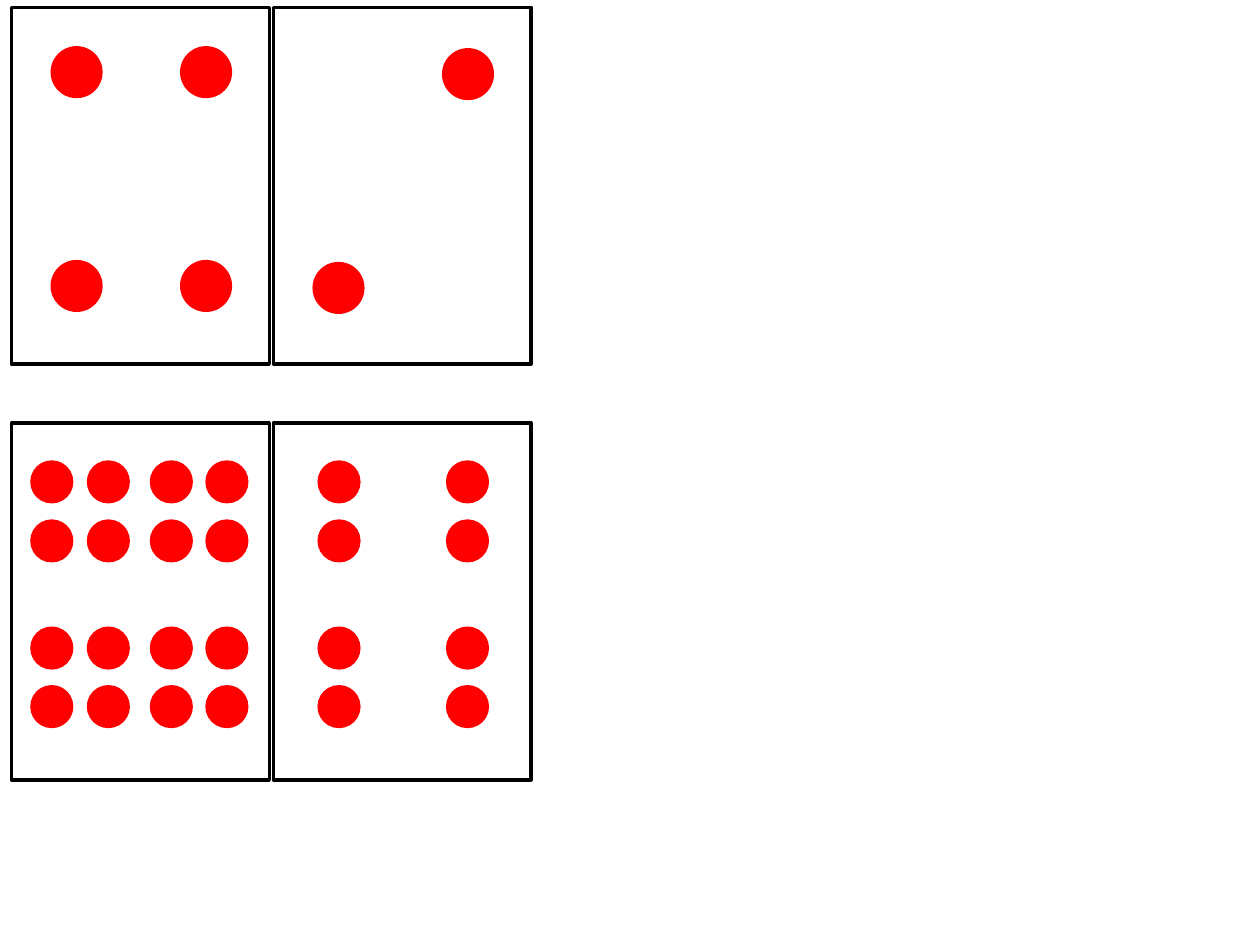
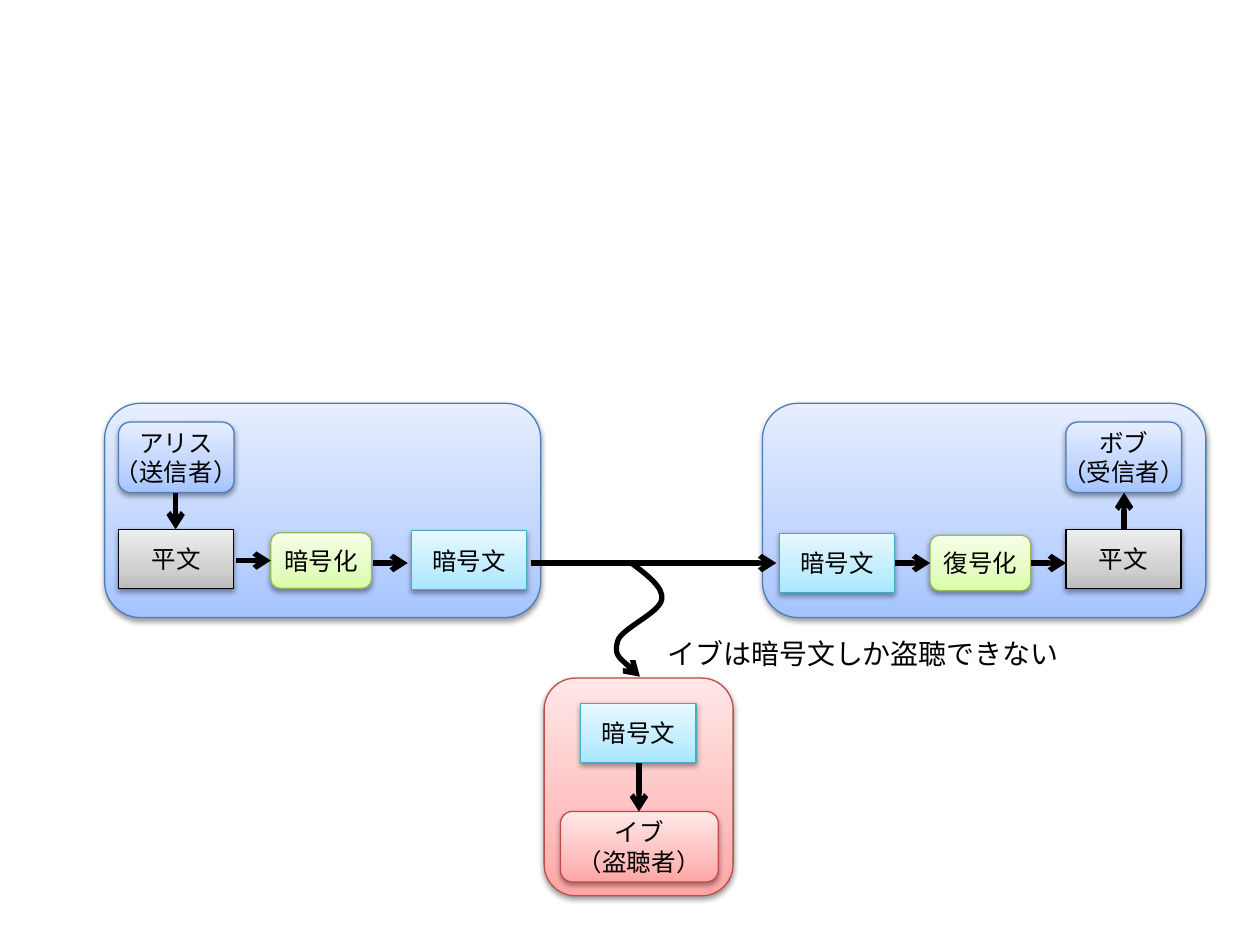
"""Build two slides: dot cards and an encrypted message flow."""
from copy import deepcopy
from dataclasses import dataclass
from itertools import product

from lxml.etree import SubElement
from pptx import Presentation
from pptx.dml.color import RGBColor
from pptx.enum.shapes import MSO_CONNECTOR, MSO_SHAPE
from pptx.enum.text import MSO_ANCHOR, PP_ALIGN
from pptx.oxml.ns import qn
from pptx.util import Cm, Pt


@dataclass(frozen=True)
class Style:
    """Gradient colours from bottom to top, with an outline colour."""
    bottom: str
    middle: str
    top: str
    outline: str


@dataclass(frozen=True)
class Theme:
    """Colours and type sizes shared by the slides."""
    font: str = "Noto Sans CJK JP"
    label_size: int = 14
    note_size: int = 16
    black: str = "000000"
    white: str = "FFFFFF"
    dot: str = "FF0000"
    blue: Style = Style("A4C4FF", "BFD4FF", "E6EEFF", "4B7EBC")
    gray: Style = Style("BDBDBD", "D1D1D1", "EEEEEE", "000000")
    green: Style = Style("DAFDA7", "E4FCC2", "F5FFE7", "98B955")
    cyan: Style = Style("A7E6FF", "C1EDFF", "E7F8FF", "46AAC5")
    red: Style = Style("FFA6A5", "FFC0BF", "FFE7E7", "BF4C48")


THEME = Theme()
ROUNDED = MSO_SHAPE.FLOWCHART_ALTERNATE_PROCESS
RECTANGLE = MSO_SHAPE.RECTANGLE
PERSON_SIZE = (2.33, 1.42)
MESSAGE_SIZE = (2.32, 1.19)
ACTION_SIZE = (2.03, 1.12)


def rgb(value):
    """Return a colour from its hexadecimal text."""
    return RGBColor.from_string(value)


def add_plain_shape(shapes, kind, left, top, width, height, color):
    """Add a solid shape without shadow or outline."""
    shape = shapes.add_shape(kind, Cm(left), Cm(top), Cm(width), Cm(height))
    shape.shadow.inherit = False
    shape.fill.solid()
    shape.fill.fore_color.rgb = rgb(color)
    shape.line.fill.background()
    return shape


def add_card(shapes, left, top, columns, rows, dot_size):
    """Add a card with a dot at each crossing of columns and rows."""
    add_card_dots(shapes, left, top, product(columns, rows), dot_size)


def add_card_dots(shapes, left, top, positions, dot_size):
    """Add a card with dots at positions measured from its corner."""
    card = add_plain_shape(shapes, MSO_SHAPE.ROUNDED_RECTANGLE,
                           left, top, 5.2, 7.19, THEME.white)
    card.adjustments[0] = 0
    card.line.color.rgb = rgb(THEME.black)
    card.line.width = Pt(2)
    for column, row in positions:
        add_plain_shape(shapes, MSO_SHAPE.OVAL, left + column, top + row,
                        dot_size, dot_size, THEME.dot)


def write_lines(frame, lines, size, alignment):
    """Write one paragraph for each line of text."""
    for index, line in enumerate(lines):
        paragraph = frame.add_paragraph() if index else frame.paragraphs[0]
        paragraph.alignment = alignment
        run = paragraph.add_run()
        run.text = line
        run.font.size = Pt(size)
        run.font.color.rgb = rgb(THEME.black)
        run.font.name = THEME.font
        properties = run.font._element
        SubElement(properties, qn("a:ea"), typeface=THEME.font)


def fill_gradient(shape, style):
    """Fill a shape with three colours rising from its bottom edge."""
    shape.fill.gradient()
    shape.fill.gradient_angle = 90
    stop_list = shape._element.spPr.find(".//" + qn("a:gsLst"))
    stop_list.append(deepcopy(stop_list[-1]))
    colors = (style.bottom, style.middle, style.top)
    stops = shape.fill.gradient_stops
    for stop, position, color in zip(stops, (0, 0.35, 1), colors):
        stop.position = position
        stop.color.rgb = rgb(color)


def add_shadow(shape):
    """Give a shape a soft shadow below it."""
    shape.shadow.inherit = False
    effects = shape._element.spPr.find(qn("a:effectLst"))
    shadow = SubElement(effects, qn("a:outerShdw"), blurRad="40000",
                        dist="20000", dir="5400000", rotWithShape="0")
    color = SubElement(shadow, qn("a:srgbClr"), val=THEME.black)
    SubElement(color, qn("a:alpha"), val="38000")


def add_box(shapes, kind, style, position, size, *lines, wrap=False):
    """Add a gradient box with centred lines of text."""
    shape = shapes.add_shape(kind, *map(Cm, position + size))
    fill_gradient(shape, style)
    shape.line.color.rgb = rgb(style.outline)
    shape.line.width = Pt(0.75)
    add_shadow(shape)
    frame = shape.text_frame
    frame.word_wrap = wrap
    frame.vertical_anchor = MSO_ANCHOR.MIDDLE
    write_lines(frame, lines, THEME.label_size, PP_ALIGN.CENTER)


def add_message(shapes, style, left, top, text):
    """Add a box for a plain or encrypted message."""
    add_box(shapes, RECTANGLE, style, (left, top), MESSAGE_SIZE, text)


def style_arrow(shape):
    """Make a line thick and black with an arrowhead at its end."""
    shape.line.color.rgb = rgb(THEME.black)
    shape.line.width = Pt(3)
    properties = shape._element.spPr
    SubElement(properties.find(qn("a:ln")), qn("a:tailEnd"), type="arrow")


def add_arrow(shapes, start, end):
    """Add a straight arrow."""
    arrow = shapes.add_connector(MSO_CONNECTOR.STRAIGHT, *map(Cm, start + end))
    style_arrow(arrow)
    SubElement(arrow._element.spPr, qn("a:effectLst"))


def add_curved_arrow(shapes, start, points):
    """Add an arrow along cubic curves, three points to a curve."""
    builder = shapes.build_freeform(Cm(start[0]), Cm(start[1]))
    builder.add_line_segments([(Cm(x), Cm(y)) for x, y in points], close=False)
    arrow = builder.convert_to_shape()
    arrow.shadow.inherit = False
    arrow.fill.background()
    style_arrow(arrow)
    segments = list(arrow._element.iter(qn("a:lnTo")))
    outline = segments[0].getparent()
    for first in range(0, len(segments), 3):
        curve = SubElement(outline, qn("a:cubicBezTo"))
        for segment in segments[first:first + 3]:
            curve.append(segment[0])
            outline.remove(segment)


def add_note(shapes, left, top, width, height, text):
    """Add a line of free text."""
    box = shapes.add_textbox(Cm(left), Cm(top), Cm(width), Cm(height))
    box.text_frame.word_wrap = False
    write_lines(box.text_frame, [text], THEME.note_size, PP_ALIGN.LEFT)


def build_dot_cards(shapes):
    """Draw two pairs of cards with large and small dots."""
    left, right, upper, lower = 0.23, 5.51, 0.15, 8.53
    rows = (0.75, 1.94, 4.1, 5.28)
    add_card(shapes, left, upper, (0.79, 3.4), (0.78, 5.09), 1.05)
    add_card_dots(shapes, right, upper, ((3.4, 0.82), (0.79, 5.13)), 1.05)
    add_card(shapes, right, lower, (0.89, 3.48), rows, 0.87)
    add_card(shapes, left, lower, (0.38, 1.52, 2.79, 3.91), rows, 0.87)


def add_receiver(shapes):
    """Add the receiver's panel."""
    add_box(shapes, ROUNDED, THEME.blue, (15.37, 8.13), (8.94, 4.32))
    add_box(shapes, ROUNDED, THEME.blue, (21.49, 8.51), PERSON_SIZE,
            "ボブ", "（受信者）")
    add_message(shapes, THEME.gray, 21.49, 10.67, "平文")
    add_arrow(shapes, (22.66, 10.67), (22.66, 9.93))


def add_sender(shapes):
    """Add the sender's panel with the encryption steps."""
    add_box(shapes, ROUNDED, THEME.blue, (2.11, 8.13), (8.79, 4.32))
    add_box(shapes, ROUNDED, THEME.blue, (2.39, 8.51), PERSON_SIZE,
            "アリス", "（送信者）")
    add_message(shapes, THEME.gray, 2.39, 10.67, "平文")
    add_arrow(shapes, (3.54, 9.93), (3.54, 10.67))
    add_box(shapes, ROUNDED, THEME.green, (5.46, 10.74), ACTION_SIZE, "暗号化")
    add_message(shapes, THEME.cyan, 8.3, 10.7, "暗号文")
    add_arrow(shapes, (4.76, 11.3), (5.46, 11.3))
    add_arrow(shapes, (7.52, 11.35), (8.22, 11.35))


def add_transmission(shapes):
    """Add the channel and the decryption steps."""
    add_box(shapes, ROUNDED, THEME.green, (18.75, 10.79), ACTION_SIZE, "復号化")
    add_message(shapes, THEME.cyan, 15.72, 10.75, "暗号文")
    for start, end in ((18.04, 18.75), (20.79, 21.49), (10.7, 15.65)):
        add_arrow(shapes, (start, 11.35), (end, 11.35))


def add_eavesdropper(shapes):
    """Add the eavesdropper's panel, its feed and its note."""
    add_curved_arrow(shapes, (12.7, 11.33), (
        (13.03, 11.58), (13.39, 11.84), (13.34, 12.09),
        (13.28, 12.37), (12.52, 12.67), (12.45, 12.93),
        (12.37, 13.21), (12.65, 13.41), (12.9, 13.64)))
    add_box(shapes, ROUNDED, THEME.red, (10.97, 13.67), (3.81, 4.39))
    add_box(shapes, ROUNDED, THEME.red, (11.3, 16.36), (3.18, 1.42),
            "イブ", "（盗聴者）", wrap=True)
    add_arrow(shapes, (12.88, 15.37), (12.88, 16.36))
    add_note(shapes, 13.21, 12.7, 8.48, 0.94, "イブは暗号文しか盗聴できない")
    add_message(shapes, THEME.cyan, 11.71, 14.18, "暗号文")


def build_message_flow(shapes):
    """Draw the message flow between the three people."""
    add_receiver(shapes.add_group_shape().shapes)
    add_sender(shapes.add_group_shape().shapes)
    add_transmission(shapes)
    add_eavesdropper(shapes.add_group_shape().shapes)


def main():
    """Build and save the presentation."""
    presentation = Presentation()
    presentation.slide_width = Cm(25.4)
    presentation.slide_height = Cm(19.05)
    for build in (build_dot_cards, build_message_flow):
        slide = presentation.slides.add_slide(presentation.slide_layouts[6])
        build(slide.shapes)
    presentation.save("out.pptx")


main()
